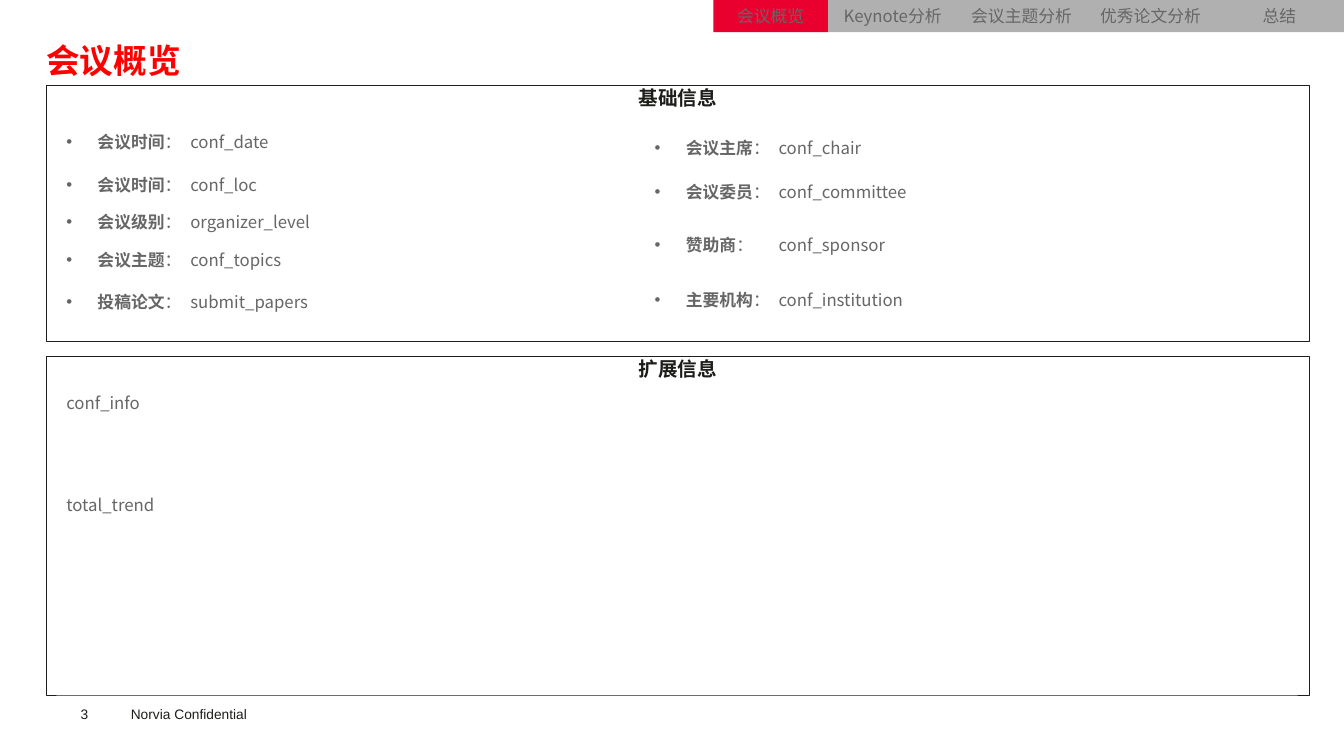
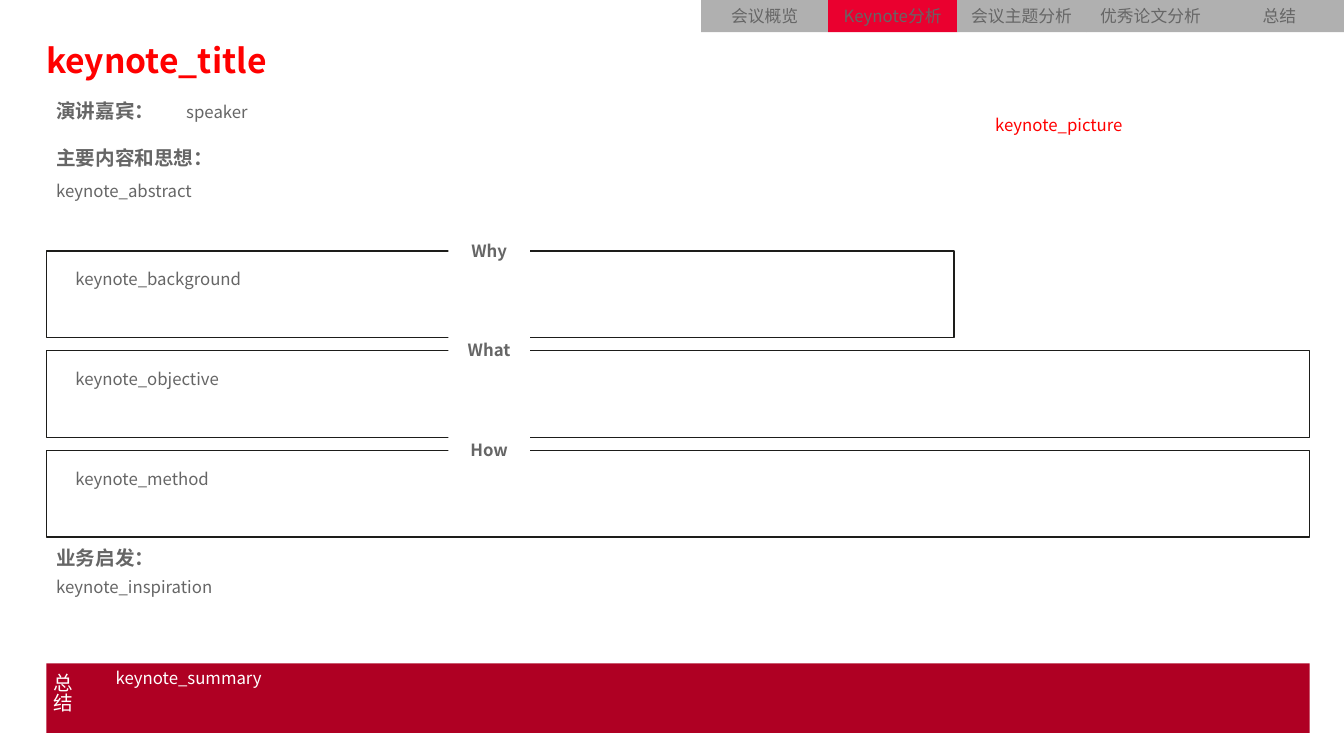
from lxml.etree import SubElement
from pptx import Presentation
from pptx.dml.color import RGBColor
from pptx.enum.shapes import MSO_SHAPE as Form
from pptx.enum.text import MSO_ANCHOR as Anchor, PP_ALIGN as Align
from pptx.oxml import parse_xml
from pptx.oxml.ns import nsdecls, qn
from pptx.util import Inches, Pt

RED = RGBColor(0xFF, 0x00, 0x00)
ACTIVE = RGBColor(0xEA, 0x00, 0x2F)
DEEP = RGBColor(0xAF, 0x00, 0x23)
SILVER = RGBColor(0xB0, 0xB0, 0xB0)
GREY = RGBColor(0x66, 0x66, 0x66)
INK = RGBColor(0x1D, 0x1D, 0x1A)
WHITE = RGBColor(0xFF, 0xFF, 0xFF)

FONT = "Noto Sans CJK SC"
LEFT, WIDE = 0.46, 12.54
TABS = ["会议概览", "Keynote分析", "会议主题分析", "优秀论文分析", "总结"]
TAB_W, TAB_H = 1.28, 0.32
ROW_H = 0.24


def write(frame, text, size=12, color=GREY, bold=False, font=FONT, tail="",
          align=Align.LEFT, anchor=Anchor.TOP, inset=True, bullet=False,
          leading=None, outline=False, upright=False):
    """Fill a text frame with one paragraph; tail is a closing plain run."""
    frame.word_wrap = True
    frame.vertical_anchor = anchor
    if not inset:
        frame.margin_left = frame.margin_right = 0
        frame.margin_top = frame.margin_bottom = 0
    if upright:
        frame._txBody.bodyPr.set("vert", "eaVert")
    para = frame.paragraphs[0]
    if bullet:
        props = para._p.get_or_add_pPr()
        props.set("marL", str(Inches(0.31)))
        props.set("indent", str(Inches(-0.31)))
        props.set("hangingPunct", "1")
        SubElement(props, qn("a:buFont")).set("typeface", "Arial")
        SubElement(props, qn("a:buChar")).set("char", "•")
    para.alignment = align
    if leading:
        para.line_spacing = Pt(leading)
    for part, heavy in ((text, bold), (tail, False)):
        if not part:
            continue
        run = para.add_run()
        run.text = part
        run.font.size = Pt(size)
        run.font.bold = heavy
        run.font.color.rgb = color
        run.font.name = font
        props = run._r.get_or_add_rPr()
        SubElement(props, qn("a:ea")).set("typeface", font)
        if outline:
            props.insert(0, parse_xml(
                f'<a:ln {nsdecls("a")} w="{Pt(0.75)}"><a:solidFill>'
                f'<a:srgbClr val="{WHITE}"/></a:solidFill></a:ln>'))


def label(slide, box, text, **style):
    """Add text without a background."""
    area = slide.shapes.add_textbox(*map(Inches, box))
    write(area.text_frame, text, **style)


def block(slide, box, text="", fill=WHITE, line=None, **style):
    """Add a rectangle; fill None leaves it clear, line is a width in points."""
    rect = slide.shapes.add_shape(Form.RECTANGLE, *map(Inches, box))
    rect.shadow.inherit = False
    if fill is None:
        rect.fill.background()
    else:
        rect.fill.solid()
        rect.fill.fore_color.rgb = fill
    if line:
        rect.line.color.rgb = INK
        rect.line.width = Pt(line)
    else:
        rect.line.fill.background()
    if text:
        write(rect.text_frame, text, **style)


def title(slide, text):
    label(slide, (LEFT, 0.32, WIDE, 0.58), text, size=24, color=RED,
          bold=True, inset=False, leading=34.3)


def tabs(slide, active, start):
    """Draw the tab band; the first tab runs from start to the second."""
    second = 13.34 - 4 * TAB_W
    for i, name in enumerate(TABS):
        x = second + (i - 1) * TAB_W if i else start
        wide = TAB_W if i else second - start
        block(slide, (x, 0, wide, TAB_H), name,
              fill=ACTIVE if i == active else SILVER,
              align=Align.CENTER, anchor=Anchor.MIDDLE, outline=True)


def footer(slide, number):
    style = dict(size=9.8, font="Arial", color=INK)
    label(slide, (1.2, 6.95, 1.6, 0.27), "Norvia Confidential", **style)
    label(slide, (0.8, 7, 0.55, 0.16), number, inset=False, **style)


def panel(slide, box, head):
    block(slide, box, head, fill=None, line=0.75, size=14, color=INK,
          bold=True, align=Align.CENTER, inset=False)


def facts(slide, left, width, rows):
    """Draw a column of bulleted names with their values."""
    for top, name, value in rows:
        block(slide, (left, top, 1.23, ROW_H), name, tail="：", bold=True,
              bullet=True, anchor=Anchor.MIDDLE)
        block(slide, (left + 1.23, top, width, ROW_H), value,
              anchor=Anchor.MIDDLE)


def framed(slide, box, head, text):
    """Draw a frame with its heading set into the top edge."""
    x, y, wide, high = box
    block(slide, box, fill=None, line=1)
    block(slide, (4.45, y - 0.14, 0.81, 0.27), head, bold=True,
          align=Align.CENTER, anchor=Anchor.MIDDLE)
    block(slide, (x + 0.19, y + 0.13, wide - 0.35, high - 0.27), text)


def heading(slide, top, width, text):
    label(slide, (LEFT, top, width, 0.28), text, size=14, bold=True,
          anchor=Anchor.MIDDLE)


def summary(slide, box, head, text):
    x, y, wide, high = box
    block(slide, box, head, fill=DEEP, size=14, color=WHITE, upright=True,
          align=Align.CENTER, anchor=Anchor.BOTTOM)
    label(slide, (x + 0.59, y, wide - 0.68, high - 0.05), text, color=WHITE)


def overview(slide):
    footer(slide, "3")
    title(slide, "会议概览")
    panel(slide, (LEFT, 0.85, WIDE, 2.54), "基础信息")
    facts(slide, 0.56, 4.22, [
        (1.29, "会议时间", "conf_date"),
        (1.71, "会议时间", "conf_loc"),
        (2.08, "会议级别", "organizer_level"),
        (2.46, "会议主题", "conf_topics"),
        (2.87, "投稿论文", "submit_papers"),
    ])
    facts(slide, 6.4, 4.96, [
        (1.35, "会议主席", "conf_chair"),
        (1.78, "会议委员", "conf_committee"),
        (2.31, "赞助商", "conf_sponsor"),
        (2.85, "主要机构", "conf_institution"),
    ])
    panel(slide, (LEFT, 3.54, WIDE, 3.36), "扩展信息")
    block(slide, (0.56, 3.85, 12.32, 0.91), "conf_info")
    block(slide, (0.56, 4.86, 12.32, 2.04), "total_trend")
    tabs(slide, 0, 7.08)


def keynote(slide):
    title(slide, "keynote_title")
    heading(slide, 0.96, 1.15, "演讲嘉宾：")
    block(slide, (1.75, 0.96, 7.72, 0.28), "speaker")
    heading(slide, 1.42, 3.2, "主要内容和思想：")
    block(slide, (LEFT, 1.74, 9.01, 0.61), "keynote_abstract")
    frames = [("Why", "keynote_background", 9.01),
              ("What", "keynote_objective", WIDE),
              ("How", "keynote_method", WIDE)]
    for i, (head, text, wide) in enumerate(frames):
        framed(slide, (LEFT, 2.49 + i * 0.99, wide, 0.86), head, text)
    heading(slide, 5.39, 3.2, "业务启发：")
    block(slide, (LEFT, 5.67, WIDE, 0.78), "keynote_inspiration")
    block(slide, (9.78, 1.09, 3.19, 2.26), "keynote_picture", color=RED)
    tabs(slide, 1, 6.96)
    summary(slide, (LEFT, 6.58, WIDE, 0.69), "总结", "keynote_summary")


def main():
    deck = Presentation()
    deck.slide_width, deck.slide_height = Inches(13.34), Inches(7.5)
    for build in (overview, keynote):
        build(deck.slides.add_slide(deck.slide_layouts[6]))
    deck.save("out.pptx")


if __name__ == "__main__":
    main()
